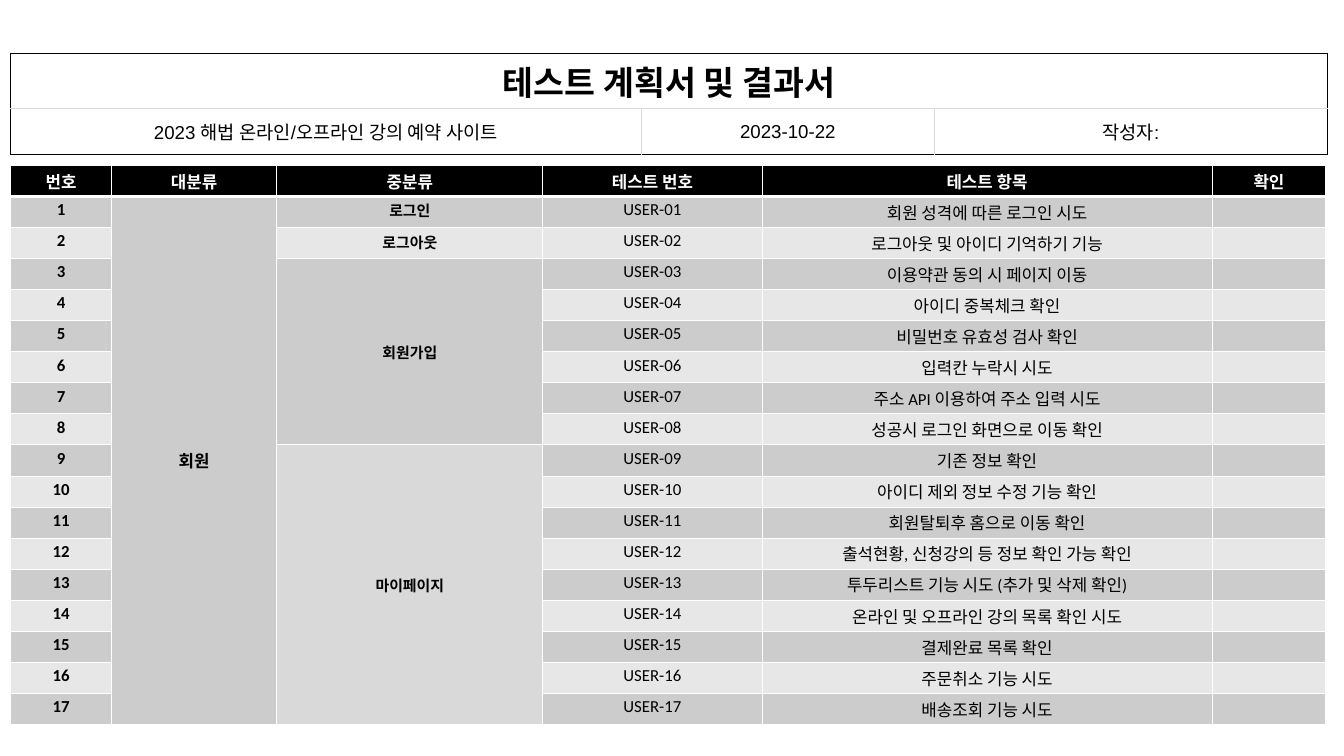
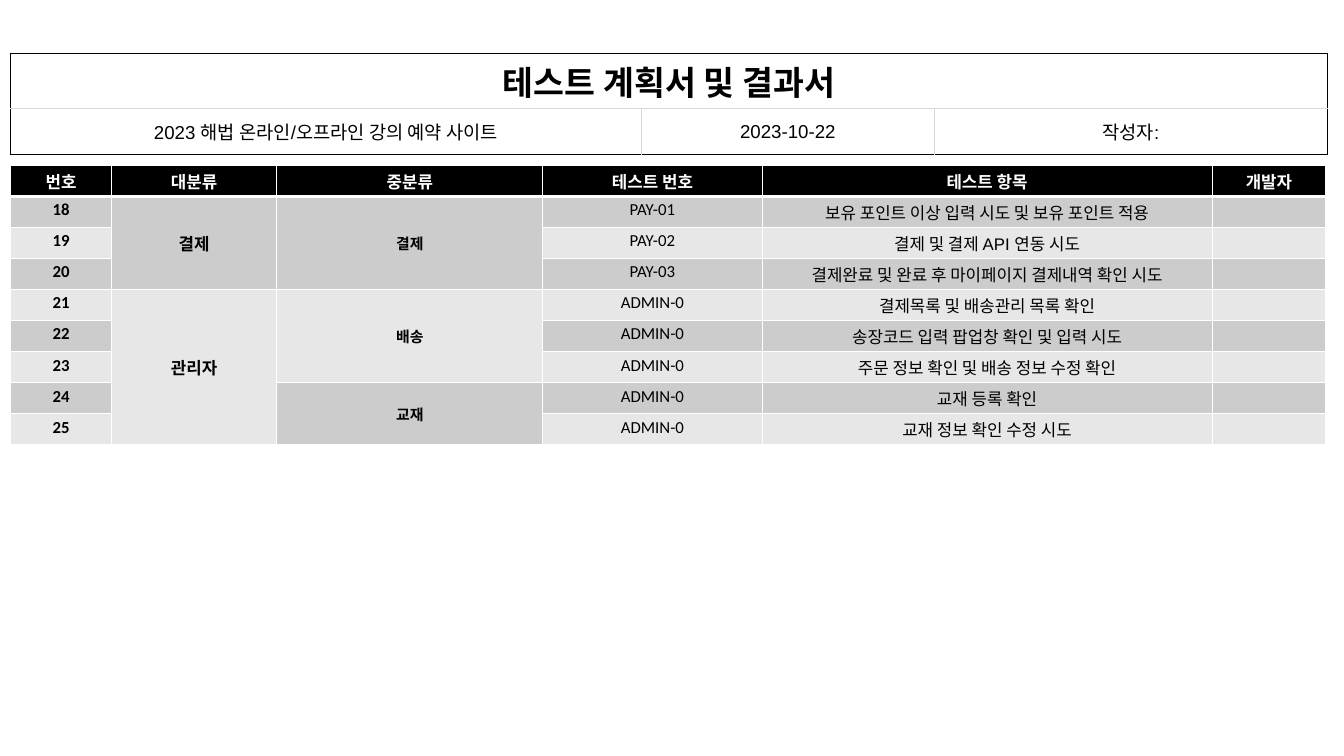
"""Build the two-slide test plan and result report."""
from lxml import etree
from pptx import Presentation
from pptx.dml.color import RGBColor
from pptx.enum.text import MSO_ANCHOR, PP_ALIGN
from pptx.oxml.ns import qn
from pptx.util import Pt

TOP, MIDDLE = MSO_ANCHOR.TOP, MSO_ANCHOR.MIDDLE
CENTER = PP_ALIGN.CENTER

COLORS = {
    "ink": "000000",
    "paper": "FFFFFF",
    "rule": "D9D9D9",
    "dark_band": "CCCCCC",
    "light_band": "E7E7E7",
    "my_page": "D9D9D9",
}
FORMATS = {
    "title": {"name": "Arial", "size": Pt(36), "bold": True},
    "subtitle": {"name": "Arial", "size": Pt(20), "bold": False},
    "strong": {"name": "Calibri", "size": Pt(18), "bold": True},
    "middle": {"name": "Calibri", "size": Pt(16), "bold": True},
    "code": {"name": "Calibri", "size": Pt(18), "bold": False},
    "item": {"name": "Arial", "size": Pt(18), "bold": False},
}
SIDES = ("L", "R", "T", "B")
LEFT = 11.5
TITLE_TOP, TESTS_TOP = 56.9, 177.1
TITLE_WIDTHS, TITLE_HEIGHTS = (675.4, 314.6, 420.5), (56.2, 49.7)
TEST_WIDTHS = (108, 177.1, 285.1, 234.7, 482.4, 121.7)
TEST_HEIGHT = 29.2
CALIBRI_ITEMS = range(6, 18)

TITLE = "테스트 계획서 및 결과서"
SUBTITLES = ("2023 해법 온라인/오프라인 강의 예약 사이트", "2023-10-22", "작성자:")
HEADINGS = ("번호", "대분류", "중분류", "테스트 번호", "테스트 항목")

USER_TESTS = [
    ("회원", "USER-{:02d}", [
        ("로그인", ["회원 성격에 따른 로그인 시도"]),
        ("로그아웃", ["로그아웃 및 아이디 기억하기 기능"]),
        ("회원가입", [
            "이용약관 동의 시 페이지 이동",
            "아이디 중복체크 확인",
            "비밀번호 유효성 검사 확인",
            "입력칸 누락시 시도",
            "주소 API 이용하여 주소 입력 시도",
            "성공시 로그인 화면으로 이동 확인",
        ]),
        ("마이페이지", [
            "기존 정보 확인",
            "아이디 제외 정보 수정 기능 확인",
            "회원탈퇴후 홈으로 이동 확인",
            "출석현황, 신청강의 등 정보 확인 가능 확인",
            "투두리스트 기능 시도 (추가 및 삭제 확인)",
            "온라인 및 오프라인 강의 목록 확인 시도",
            "결제완료 목록 확인",
            "주문취소 기능 시도",
            "배송조회 기능 시도",
        ]),
    ]),
]
PAY_ADMIN_TESTS = [
    ("결제", "PAY-{:02d}", [
        ("결제", [
            "보유 포인트 이상 입력 시도 및 보유 포인트 적용",
            "결제 및 결제 API 연동 시도",
            "결제완료 및 완료 후 마이페이지 결제내역 확인 시도",
        ]),
    ]),
    ("관리자", "ADMIN-0", [
        ("배송", [
            "결제목록 및 배송관리 목록 확인",
            "송장코드 입력 팝업창 확인 및 입력 시도",
            "주문 정보 확인 및 배송 정보 수정 확인",
        ]),
        ("교재", ["교재 등록 확인", "교재 정보 확인 수정 시도"]),
    ]),
]


class Report:
    """Hold the report style and the current slide."""

    def __init__(self):
        self.deck = Presentation()
        self.deck.slide_width, self.deck.slide_height = Pt(1440), Pt(810)
        self.slide = None

    def add_slide(self):
        self.slide = self.deck.slides.add_slide(self.deck.slide_layouts[6])

    def grid(self, top, widths, heights):
        table = self.slide.shapes.add_table(
            len(heights), len(widths), Pt(LEFT), Pt(top),
            Pt(sum(widths)), Pt(sum(heights))).table
        table.first_row = table.horz_banding = False
        for column, width in zip(table.columns, widths):
            column.width = Pt(width)
        for row, height in zip(table.rows, heights):
            row.height = Pt(height)
        return table

    def paint(self, cell, borders, fill=None):
        properties = cell._tc.get_or_add_tcPr()
        for side, (color, width) in zip(SIDES, borders):
            line = etree.SubElement(properties, qn(f"a:ln{side}"), w=str(Pt(width)))
            solid = etree.SubElement(line, qn("a:solidFill"))
            etree.SubElement(solid, qn("a:srgbClr"), val=COLORS[color])
        if fill:
            cell.fill.solid()
            cell.fill.fore_color.rgb = RGBColor.from_string(COLORS[fill])
        else:
            cell.fill.background()

    def label(self, cell, text, style, color="ink", anchor=TOP, **changes):
        cell.vertical_anchor = anchor
        paragraph = cell.text_frame.paragraphs[0]
        paragraph.alignment = CENTER
        run = paragraph.add_run()
        run.text = text
        for name, value in {**FORMATS[style], **changes}.items():
            setattr(run.font, name, value)
        run.font.color.rgb = RGBColor.from_string(COLORS[color])

    def span(self, table, column, first, count, text, style):
        cell = table.cell(first, column)
        if count > 1:
            cell.merge(table.cell(first + count - 1, column))
        self.label(cell, text, style, anchor=MIDDLE if count > 1 else TOP)

    def title_block(self):
        table = self.grid(TITLE_TOP, TITLE_WIDTHS, TITLE_HEIGHTS)
        black, gray = ("ink", 1), ("rule", 1)
        last = len(SUBTITLES) - 1
        for column, text in enumerate(SUBTITLES):
            left = black if column == 0 else gray
            right = black if column == last else gray
            self.paint(table.cell(0, column), (black, black, black, gray))
            self.paint(table.cell(1, column), (left, right, gray, black))
            self.label(table.cell(1, column), text, "subtitle", anchor=MIDDLE)
        table.cell(0, 0).merge(table.cell(0, last))
        self.label(table.cell(0, 0), TITLE, "title", anchor=MIDDLE)

    def test_table(self, last_heading, first_number, groups):
        count = sum(len(items) for _, _, parts in groups for _, items in parts)
        table = self.grid(TESTS_TOP, TEST_WIDTHS, [TEST_HEIGHT] * (count + 1))
        white = ("paper", 1)
        for column, heading in enumerate(HEADINGS + (last_heading,)):
            cell = table.cell(0, column)
            self.paint(cell, (white, white, white, ("paper", 3)), "ink")
            self.label(cell, heading, "strong", "paper")
            for row in range(1, count + 1):
                band = "dark_band" if row % 2 else "light_band"
                top = ("paper", 3) if row == 1 else white
                self.paint(table.cell(row, column), (white, white, top, white), band)

        row = 1
        for major, code, parts in groups:
            size = sum(len(items) for _, items in parts)
            self.span(table, 1, row, size, major, "strong")
            order = 1
            for middle, items in parts:
                self.span(table, 2, row, len(items), middle, "middle")
                if middle == "마이페이지":
                    table.cell(row, 2).fill.fore_color.rgb = RGBColor.from_string(
                        COLORS["my_page"])
                for item in items:
                    number = first_number + row - 1
                    face = "Calibri" if number in CALIBRI_ITEMS else "Arial"
                    self.label(table.cell(row, 0), str(number), "strong")
                    self.label(table.cell(row, 3), code.format(order), "code")
                    self.label(table.cell(row, 4), item, "item", name=face)
                    row += 1
                    order += 1


def main():
    report = Report()
    for last_heading, first_number, groups in (
            ("확인", 1, USER_TESTS), ("개발자", 18, PAY_ADMIN_TESTS)):
        report.add_slide()
        report.title_block()
        report.test_table(last_heading, first_number, groups)
    report.deck.save("out.pptx")


if __name__ == "__main__":
    main()
